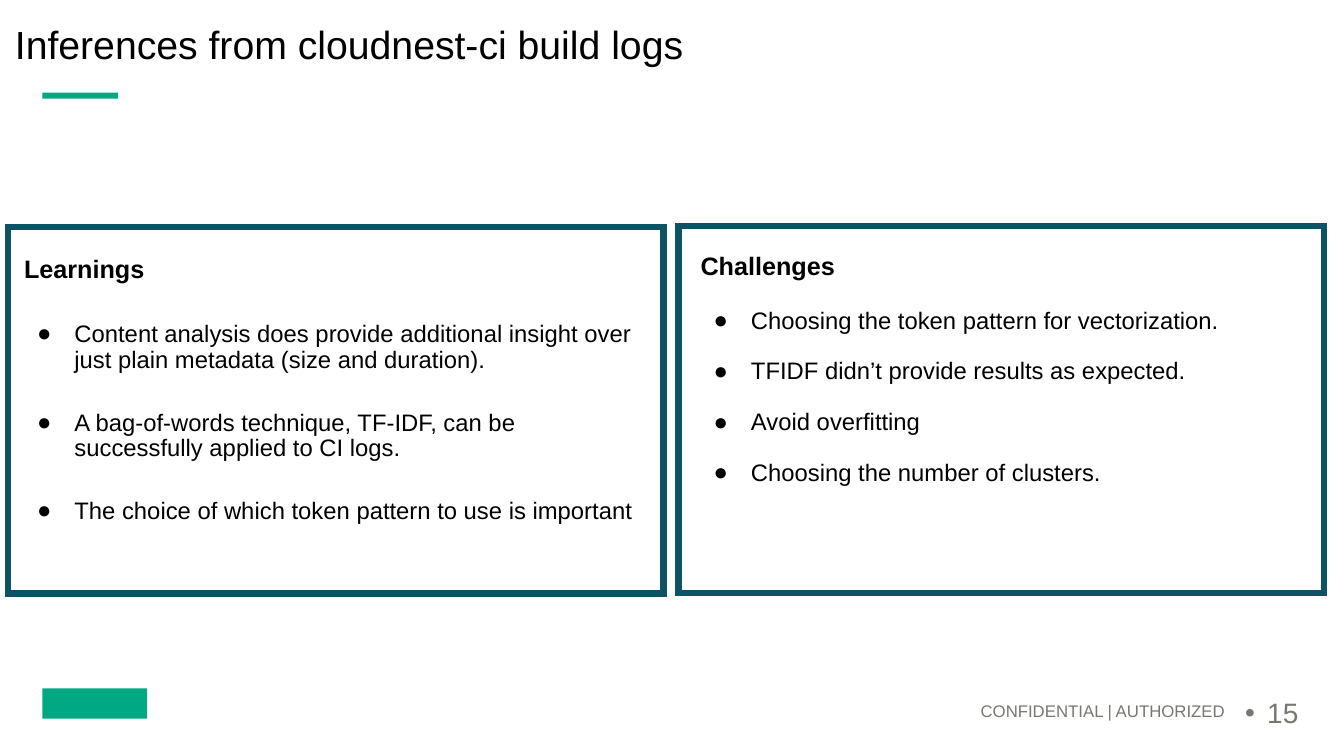
from dataclasses import dataclass
from typing import Optional

from lxml.etree import SubElement
from pptx import Presentation
from pptx.dml.color import RGBColor
from pptx.enum.shapes import MSO_SHAPE
from pptx.enum.text import MSO_ANCHOR, PP_ALIGN
from pptx.oxml.ns import qn
from pptx.util import Inches, Pt


@dataclass(frozen=True)
class Theme:
    """Hold the colours, font and type sizes of the slide."""
    font: str = "Arial"
    green: str = "01A982"
    teal: str = "0D5265"
    grey: str = "787871"
    black: str = "000000"
    title: float = 28
    heading: float = 18
    body: float = 17
    footer: float = 12
    number: float = 20
    border: float = 4.5


THEME = Theme()


@dataclass(frozen=True)
class Box:
    """Give a place on the slide in inches."""
    left: float
    top: float
    width: float
    height: float

    def lengths(self) -> tuple:
        """Return the place as lengths."""
        return tuple(Inches(v) for v in (self.left, self.top, self.width, self.height))


@dataclass(frozen=True)
class Panel:
    """Describe a framed list with its heading."""
    frame: Box
    text: Box
    heading: str
    items: tuple
    first_gap: float
    gap: float


PANELS = (
    Panel(Box(0.08, 2.25, 6.5, 3.64), Box(0.14, 2.45, 6.4, 3.2), "Learnings", (
        "Content analysis does provide additional insight over just plain metadata (size and duration).",
        "A bag-of-words technique, TF-IDF, can be successfully applied to CI logs.",
        "The choice of which token pattern to use is important",
    ), 27, 26.5),
    Panel(Box(6.73, 2.24, 6.4, 3.64), Box(6.85, 2.42, 6.16, 3.2), "Challenges", (
        "Choosing the token pattern for vectorization.",
        "TFIDF didn’t provide results as expected.",
        "Avoid overfitting",
        "Choosing the number of clusters.",
    ), 19.5, 18),
)


def add_rectangle(slide, box: Box, *, fill: Optional[str] = None, line: Optional[str] = None) -> None:
    """Draw a rectangle with a fill, a border or both."""
    shape = slide.shapes.add_shape(MSO_SHAPE.RECTANGLE, *box.lengths())
    shape.shadow.inherit = False
    if fill:
        shape.fill.solid()
        shape.fill.fore_color.rgb = RGBColor.from_string(fill)
    else:
        shape.fill.background()
    if line:
        shape.line.color.rgb = RGBColor.from_string(line)
        shape.line.width = Pt(THEME.border)
        outline = shape._element.spPr.find(qn("a:ln"))
        SubElement(outline, qn("a:miter")).set("lim", "800000")
    else:
        shape.line.fill.background()


def add_frame(slide, box: Box, *, anchor=MSO_ANCHOR.TOP, inset: float = 0.1):
    """Add an empty wrapping text box and return its text frame."""
    frame = slide.shapes.add_textbox(*box.lengths()).text_frame
    frame.word_wrap = True
    frame.vertical_anchor = anchor
    frame.margin_left = frame.margin_right = Inches(0.1)
    frame.margin_top = frame.margin_bottom = Inches(inset)
    return frame


def write(frame, text: str, *, size: float, color: str = THEME.black, bold: bool = False,
          align=PP_ALIGN.LEFT, before: float = 0, bullet: str = "",
          indent: float = 0.5, hanging: float = 0.37) -> None:
    """Write one formatted paragraph into a text frame."""
    paragraph = frame.paragraphs[0]
    if paragraph.runs:
        paragraph = frame.add_paragraph()
    paragraph.alignment = align
    paragraph.line_spacing = 0.9
    if before:
        paragraph.space_before = Pt(before)
    if bullet:
        properties = paragraph._p.get_or_add_pPr()
        properties.set("marL", str(Inches(indent)))
        properties.set("indent", str(-Inches(hanging)))
        SubElement(SubElement(properties, qn("a:buClr")), qn("a:srgbClr")).set("val", color)
        SubElement(properties, qn("a:buFont")).set("typeface", THEME.font)
        SubElement(properties, qn("a:buChar")).set("char", bullet)
    run = paragraph.add_run()
    run.text = text
    run.font.name = THEME.font
    run.font.size = Pt(size)
    run.font.bold = bold
    run.font.color.rgb = RGBColor.from_string(color)


def add_panel(slide, panel: Panel) -> None:
    """Draw a bordered panel with a heading and bullets."""
    add_rectangle(slide, panel.frame, line=THEME.teal)
    frame = add_frame(slide, panel.text)
    write(frame, panel.heading, size=THEME.heading, bold=True)
    for index, item in enumerate(panel.items):
        gap = panel.gap if index else panel.first_gap
        write(frame, item, size=THEME.body, before=gap, bullet="●")


def main() -> None:
    """Build the slide and save it."""
    presentation = Presentation()
    presentation.slide_width = Inches(13.33)
    presentation.slide_height = Inches(7.5)
    slide = presentation.slides.add_slide(presentation.slide_layouts[6])

    add_rectangle(slide, Box(0.42, 6.83, 1.04, 0.3), fill=THEME.green)
    add_rectangle(slide, Box(0.42, 0.92, 0.75, 0.06), fill=THEME.green)
    footer = add_frame(slide, Box(4.07, 6.7, 8.18, 0.45), anchor=MSO_ANCHOR.BOTTOM, inset=0)
    write(footer, "CONFIDENTIAL | AUTHORIZED", size=THEME.footer, color=THEME.grey, align=PP_ALIGN.RIGHT)
    number = add_frame(slide, Box(12.25, 6.89, 0.75, 0.4), anchor=MSO_ANCHOR.MIDDLE, inset=0.05)
    write(number, "15", size=THEME.number, color=THEME.grey, bullet="•", indent=0.22, hanging=0.22)
    title = add_frame(slide, Box(0.05, 0.24, 12.57, 0.44), anchor=MSO_ANCHOR.MIDDLE)
    write(title, "Inferences from cloudnest-ci build logs", size=THEME.title)
    for panel in PANELS:
        add_panel(slide, panel)

    presentation.save("out.pptx")


if __name__ == "__main__":
    main()
